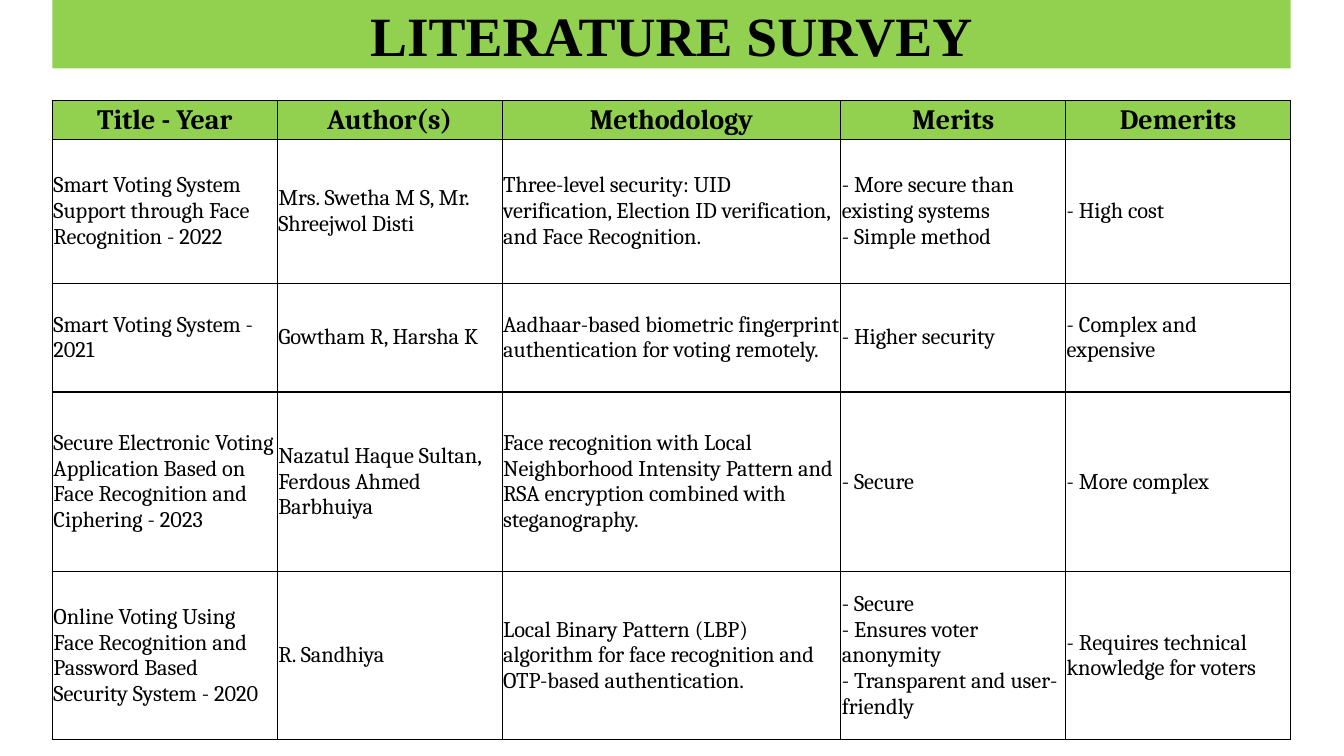
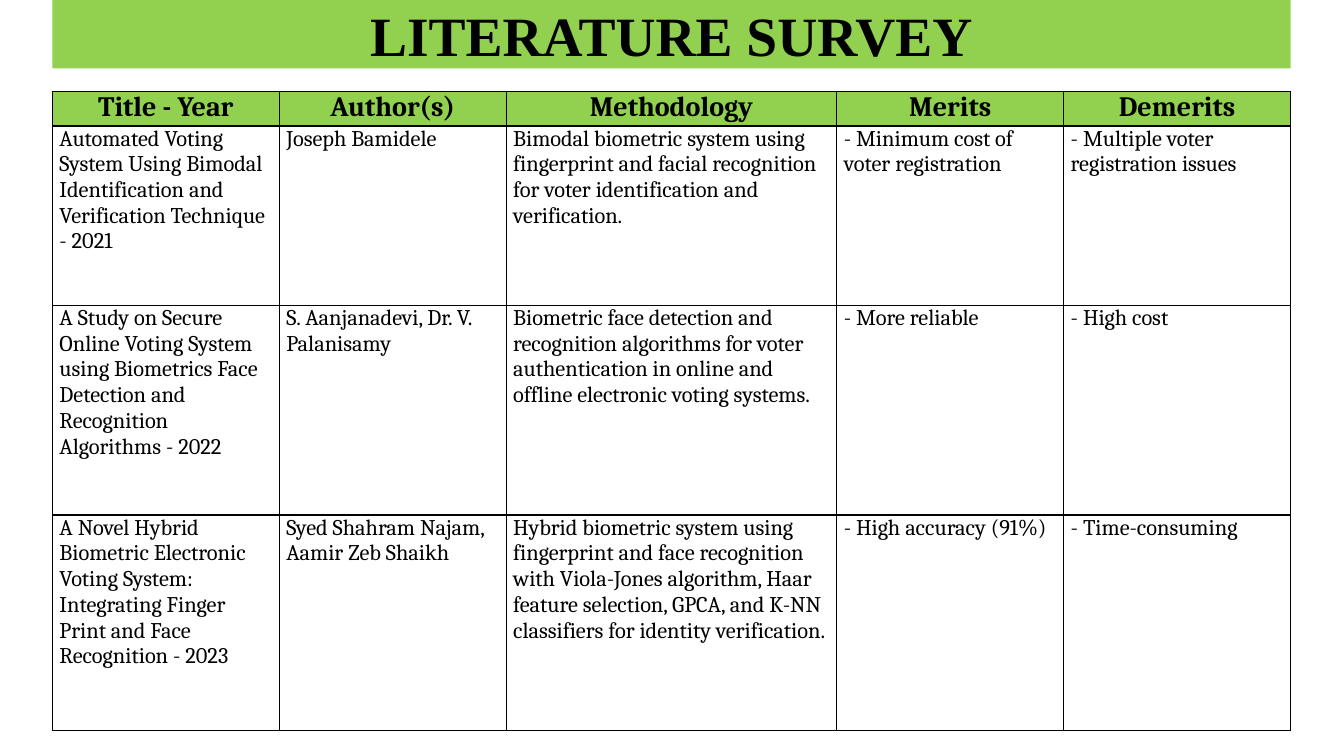
from lxml.etree import SubElement
from pptx import Presentation
from pptx.dml.color import RGBColor
from pptx.enum.text import MSO_ANCHOR, MSO_AUTO_SIZE, PP_ALIGN
from pptx.oxml.ns import qn
from pptx.util import Inches, Pt

GREEN, BLACK = "92D050", "000000"
TITLE_FONT, TABLE_FONT = "Times New Roman", "Cambria"
LEFT, WIDTH, BAND_HEIGHT = 0.52, 12.28, 0.68
HEADINGS = ["Title - Year", "Author(s)", "Methodology", "Merits", "Demerits"]


def rgb(value):
    return RGBColor.from_string(value)


def set_all(target, formats):
    for name, value in formats.items():
        setattr(target, name, value)


class Deck:
    """Holds the shared style and the slide being built."""

    def __init__(self):
        self.prs = Presentation()
        self.prs.slide_width, self.prs.slide_height = Inches(13.33), Inches(7.5)
        self.slide = None

    def add_slide(self, heading):
        self.slide = self.prs.slides.add_slide(self.prs.slide_layouts[5])
        self.title_band(heading)

    def style(self, paragraph, font, size, bold, align):
        paragraph.alignment = align
        set_all(paragraph.font, {"name": font, "size": Pt(size), "bold": bold})
        paragraph.font.color.rgb = rgb(BLACK)

    def title_band(self, heading):
        band = self.slide.shapes.title
        set_all(band, {"left": Inches(LEFT), "top": 0, "width": Inches(WIDTH),
                       "height": Inches(BAND_HEIGHT)})
        band.fill.solid()
        band.fill.fore_color.rgb = rgb(GREEN)
        frame = band.text_frame
        frame.text = heading
        set_all(frame, {"auto_size": MSO_AUTO_SIZE.NONE, "word_wrap": True,
                        "vertical_anchor": MSO_ANCHOR.MIDDLE})
        self.style(frame.paragraphs[0], TITLE_FONT, 39.6, True, PP_ALIGN.CENTER)

    def borders(self, cell):
        properties = cell._tc.get_or_add_tcPr()
        for side in ("a:lnL", "a:lnR", "a:lnT", "a:lnB"):
            line = SubElement(properties, qn(side), w=str(Pt(1)))
            fill = SubElement(line, qn("a:solidFill"))
            SubElement(fill, qn("a:srgbClr"), val=BLACK)

    def cell(self, cell, text, is_header, layout):
        self.borders(cell)
        set_all(cell, layout)
        cell.text = text
        if is_header:
            cell.fill.solid()
            cell.fill.fore_color.rgb = rgb(GREEN)
        else:
            cell.fill.background()
        size, align = (20, PP_ALIGN.CENTER) if is_header else (16, PP_ALIGN.LEFT)
        for paragraph in cell.text_frame.paragraphs:
            self.style(paragraph, TABLE_FONT, size, is_header, align)

    def survey_table(self, top, side_width, heights, papers, anchor, inset_x, inset_y):
        rows = [HEADINGS] + papers
        table = self.slide.shapes.add_table(
            len(rows), len(HEADINGS), Inches(LEFT), Inches(top),
            Inches(WIDTH), Inches(sum(heights))).table
        table.horz_banding = False
        # The methodology column takes what the four others leave
        for heading, column in zip(HEADINGS, table.columns):
            wide = heading == "Methodology"
            column.width = Inches(WIDTH - 4 * side_width if wide else side_width)
        layout = {"vertical_anchor": anchor,
                  "margin_left": Inches(inset_x), "margin_right": Inches(inset_x),
                  "margin_top": Inches(inset_y), "margin_bottom": Inches(inset_y)}
        for r, (height, texts) in enumerate(zip(heights, rows)):
            table.rows[r].height = Inches(height)
            for c, text in enumerate(texts):
                self.cell(table.cell(r, c), text, r == 0, layout)


FACE_PAPERS = [
    ["Smart Voting System Support through Face Recognition - 2022",
     "Mrs. Swetha M S, Mr. Shreejwol Disti",
     "Three-level security: UID verification, Election ID verification, "
     "and Face Recognition.",
     "- More secure than existing systems\n- Simple method",
     "- High cost"],
    ["Smart Voting System - 2021",
     "Gowtham R, Harsha K",
     "Aadhaar-based biometric fingerprint authentication for voting remotely.",
     "- Higher security",
     "- Complex and expensive"],
    ["Secure Electronic Voting Application Based on Face Recognition and "
     "Ciphering - 2023",
     "Nazatul Haque Sultan, Ferdous Ahmed Barbhuiya",
     "Face recognition with Local Neighborhood Intensity Pattern and RSA "
     "encryption combined with steganography.",
     "- Secure",
     "- More complex"],
    ["Online Voting Using Face Recognition and Password Based Security "
     "System - 2020",
     "R. Sandhiya",
     "Local Binary Pattern (LBP) algorithm for face recognition and "
     "OTP-based authentication.",
     "- Secure\n- Ensures voter anonymity\n- Transparent and user-friendly",
     "- Requires technical knowledge for voters"],
]

BIOMETRIC_PAPERS = [
    ["Automated Voting System Using Bimodal Identification and Verification "
     "Technique - 2021",
     "Joseph Bamidele",
     "Bimodal biometric system using fingerprint and facial recognition for "
     "voter identification and verification.",
     "- Minimum cost of voter registration",
     "- Multiple voter registration issues"],
    ["A Study on Secure Online Voting System using Biometrics Face Detection "
     "and Recognition Algorithms - 2022",
     "S. Aanjanadevi, Dr. V. Palanisamy",
     "Biometric face detection and recognition algorithms for voter "
     "authentication in online and offline electronic voting systems.",
     "- More reliable",
     "- High cost"],
    ["A Novel Hybrid Biometric Electronic Voting System: Integrating Finger "
     "Print and Face Recognition - 2023",
     "Syed Shahram Najam, Aamir Zeb Shaikh",
     "Hybrid biometric system using fingerprint and face recognition with "
     "Viola-Jones algorithm, Haar feature selection, GPCA, and K-NN "
     "classifiers for identity verification.",
     "- High accuracy (91%)",
     "- Time-consuming"],
]


def main():
    deck = Deck()

    # Face recognition papers
    deck.add_slide("LITERATURE SURVEY")
    deck.survey_table(1, 2.23, [0.38, 1.43, 1.08, 1.78, 1.67], FACE_PAPERS,
                      MSO_ANCHOR.MIDDLE, 0.01, 0.01)

    # Biometric papers
    deck.add_slide("LITERATURE SURVEY")
    deck.survey_table(0.91, 2.25, [0.34, 1.78, 2.08, 2.14], BIOMETRIC_PAPERS,
                      MSO_ANCHOR.TOP, 0.07, 0)

    deck.prs.save("out.pptx")


if __name__ == "__main__":
    main()
